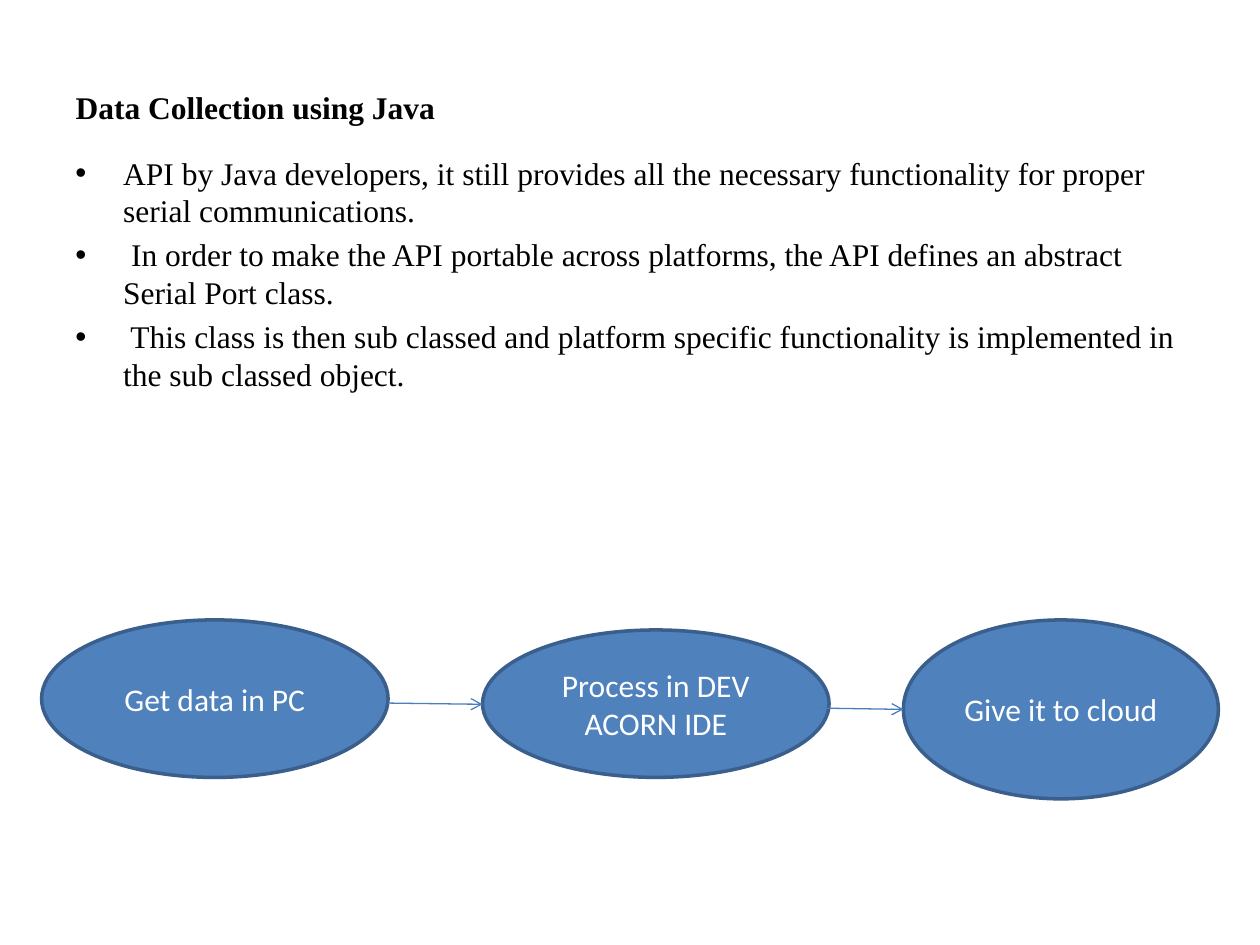
"""Build the slide on collecting data with Java."""
from pptx import Presentation
from pptx.dml.color import RGBColor
from pptx.enum.shapes import MSO_CONNECTOR, MSO_SHAPE
from pptx.enum.text import MSO_ANCHOR, PP_ALIGN
from pptx.oxml.ns import qn
from pptx.util import Inches, Pt
from lxml.etree import SubElement

TITLE = "Data Collection using Java"
POINTS = [
    "API by Java developers, it still provides all the necessary functionality for proper serial communications.",
    " In order to make the API portable across platforms, the API defines an abstract Serial Port class.",
    " This class is then sub classed and platform specific functionality is implemented in the sub classed object.",
]
STEPS = [
    ("Get data in PC", (0.33, 4.92, 2.75, 1.25)),
    ("Process in DEV ACORN IDE", (3.83, 5, 2.75, 1.17)),
    ("Give it to cloud", (7.17, 4.92, 2.5, 1.42)),
]
ARROWS = [(3.08, 5.58, 3.83, 5.59), (6.5, 5.62, 7.17, 5.63)]
SERIF, SANS = "Times New Roman", "Calibri"


def color(code):
    """Turn a hex string into a colour."""
    return RGBColor.from_string(code)


def place(shape, box):
    """Set the place and size of a shape."""
    shape.left, shape.top, shape.width, shape.height = map(Inches, box)


def write(para, text, face, code, bold=False):
    """Add one run of text."""
    run = para.add_run()
    run.text = text
    font = run.font
    font.name, font.size, font.bold = face, Pt(18), bold
    font.color.rgb = color(code)


def stroke(line, code, width):
    """Set the colour and width of a line."""
    line.color.rgb = color(code)
    line.width = Pt(width)


def bullet(para):
    """Give a paragraph a hanging bullet."""
    props = para._p.get_or_add_pPr()
    props.set("marL", str(Inches(0.38)))
    props.set("indent", str(Inches(-0.38)))
    para.space_before = Pt(3.6)
    SubElement(props, qn("a:buFont"), typeface="Arial")
    SubElement(props, qn("a:buChar"), char="•")


def head(slide):
    """Fill the title placeholder."""
    title = slide.shapes.title
    place(title, (0.5, 0.3, 9, 1.25))
    frame = title.text_frame
    frame.vertical_anchor = MSO_ANCHOR.MIDDLE
    frame.margin_bottom = Inches(0.2)
    para = frame.paragraphs[0]
    para.alignment = PP_ALIGN.LEFT
    write(para, TITLE, SERIF, "000000", True)


def body(slide):
    """Add the bullet list."""
    box = slide.shapes.add_textbox(*map(Inches, (0.5, 1.17, 9, 5.53)))
    frame = box.text_frame
    frame.word_wrap = True
    for i, text in enumerate(POINTS):
        para = frame.add_paragraph() if i else frame.paragraphs[0]
        bullet(para)
        write(para, text, SERIF, "000000")


def step(slide, text, box):
    """Add one oval of the flow."""
    oval = slide.shapes.add_shape(MSO_SHAPE.OVAL, *map(Inches, box))
    oval.shadow.inherit = False
    oval.fill.solid()
    oval.fill.fore_color.rgb = color("4F81BD")
    stroke(oval.line, "3A5F8C", 2)
    frame = oval.text_frame
    frame.word_wrap = True
    frame.vertical_anchor = MSO_ANCHOR.MIDDLE
    para = frame.paragraphs[0]
    para.alignment = PP_ALIGN.CENTER
    write(para, text, SANS, "FFFFFF")


def arrow(slide, ends):
    """Add one arrow of the flow."""
    link = slide.shapes.add_connector(MSO_CONNECTOR.STRAIGHT, *map(Inches, ends))
    stroke(link.line, "4B7EBC", 0.75)
    SubElement(link.line._get_or_add_ln(), qn("a:tailEnd"), type="arrow")
    SubElement(link._element.spPr, qn("a:effectLst"))


def main():
    """Build and save the slide."""
    deck = Presentation()
    deck.slide_width, deck.slide_height = Inches(10), Inches(7.5)
    slide = deck.slides.add_slide(deck.slide_layouts[5])
    head(slide)
    body(slide)
    for text, box in STEPS:
        step(slide, text, box)
    for ends in ARROWS:
        arrow(slide, ends)
    deck.save("out.pptx")


if __name__ == "__main__":
    main()
